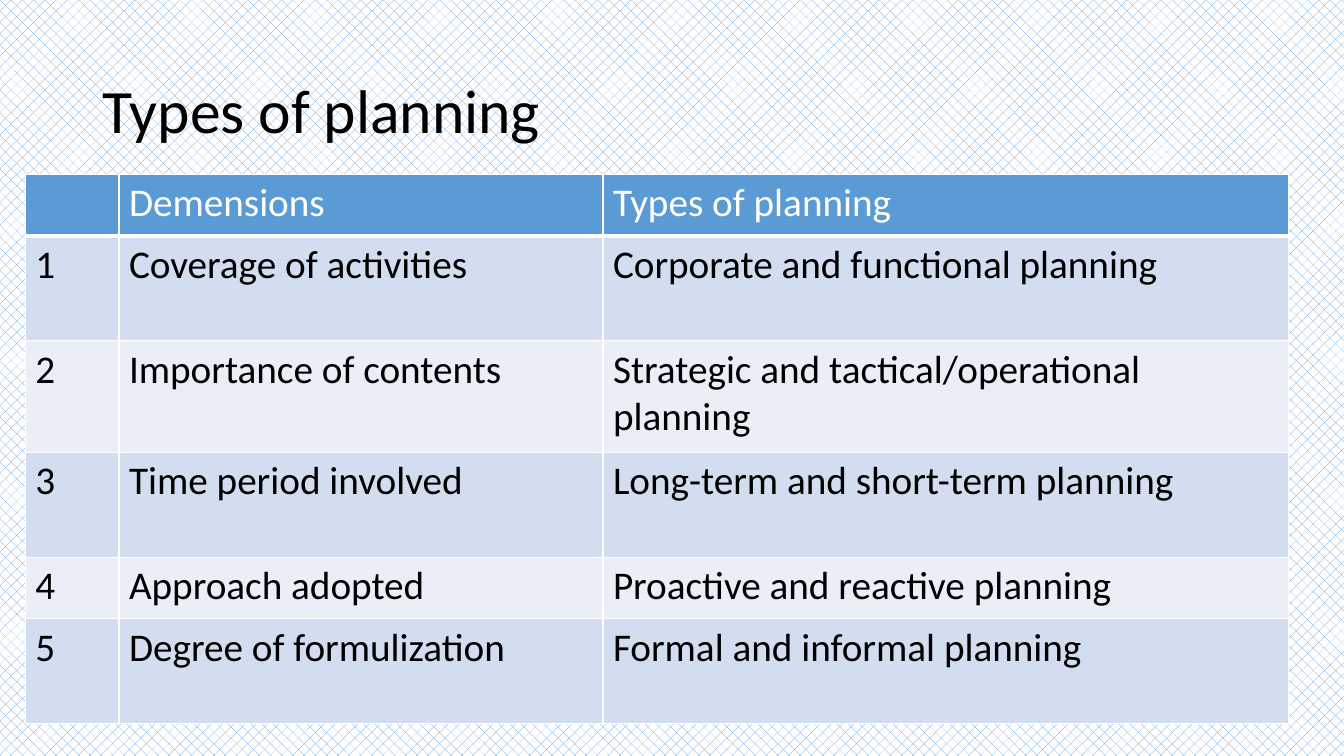
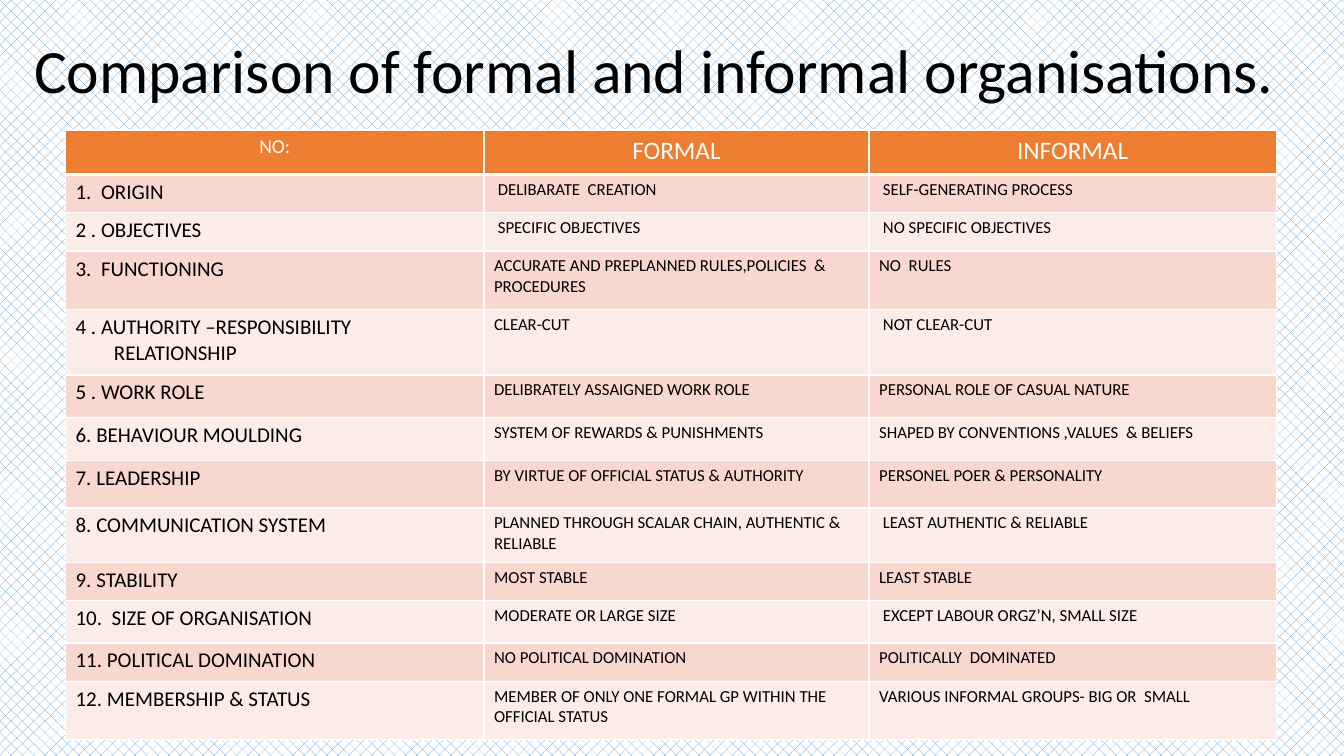
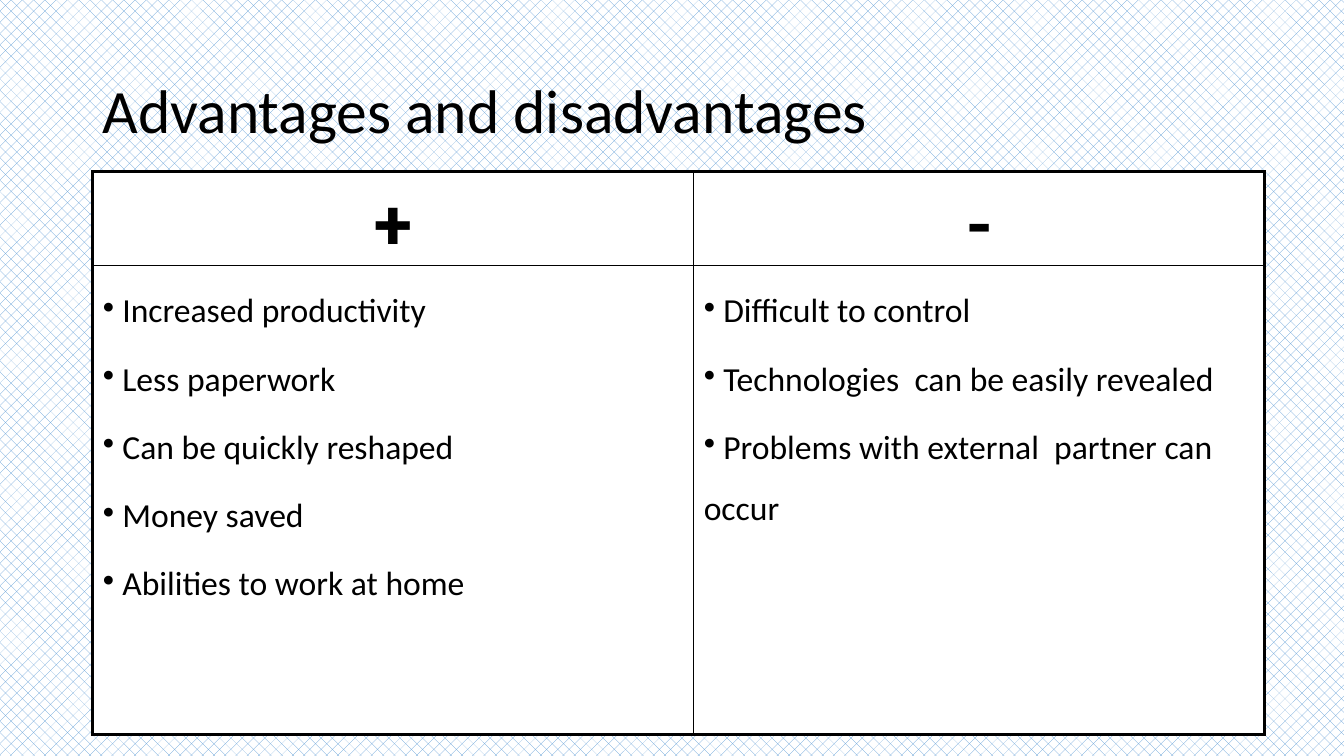
from dataclasses import dataclass
from lxml.etree import SubElement
from pptx import Presentation
from pptx.dml.color import RGBColor
from pptx.enum.dml import MSO_PATTERN
from pptx.enum.text import MSO_ANCHOR, PP_ALIGN
from pptx.oxml import parse_xml
from pptx.oxml.ns import nsdecls, qn
from pptx.util import Inches, Pt


@dataclass(frozen=True)
class Theme:
    font: str = "Calibri"
    slab: str = "Roboto Slab"
    black: str = "000000"
    white: str = "FFFFFF"
    blue: str = "5B9BD5"
    blues: tuple = ("D2DEEF", "EAEFF7")
    orange: str = "ED7D31"
    peach: tuple = ("F8D7CE", "FCECE8")
    title: int = 44
    sign: int = 50
    large: int = 28
    list: int = 24
    head: int = 18
    label: int = 15
    note: int = 14
    small: int = 12


theme = Theme()


def apply(item, values):
    for name, value in values.items():
        setattr(item, name, value)


def style(size, color=theme.black, face=theme.font, bold=False, para=None, hang=0, mark=None):
    return {"font": {"size": Pt(size), "name": face, "bold": bold},
            "color": color, "para": para or {}, "hang": hang, "mark": mark}


def write(frame, text, look):
    for i, line in enumerate(text.split("\n")):
        para = frame.paragraphs[0] if i == 0 else frame.add_paragraph()
        apply(para, look["para"])
        run = para.add_run()
        run.text = line
        apply(run.font, look["font"])
        run.font.color.rgb = RGBColor.from_string(look["color"])
        props = para._p.get_or_add_pPr()
        if look["hang"]:
            props.set("marL", str(Inches(look["hang"])))
            props.set("indent", str(-Inches(look["hang"])))
        if look["mark"]:
            SubElement(props, qn("a:buChar")).set("char", look["mark"])


def border(cell, color, widths):
    props = cell._tc.get_or_add_tcPr()
    for i, (side, width) in enumerate(zip("LRTB", widths)):
        props.insert(i, parse_xml(
            f'<a:ln{side} {nsdecls("a")} w="{Pt(width)}"><a:solidFill>'
            f'<a:srgbClr val="{color}"/></a:solidFill></a:ln{side}>'))


def page(deck, text, box):
    slide = deck.slides.add_slide(deck.slide_layouts[6])
    fill = slide.background.fill
    fill.patterned()
    fill.pattern = MSO_PATTERN.PERCENT_25
    fill.fore_color.rgb = RGBColor.from_string(theme.blue)
    fill.back_color.rgb = RGBColor.from_string(theme.white)
    frame = slide.shapes.add_textbox(*map(Inches, box)).text_frame
    apply(frame, {"word_wrap": True, "vertical_anchor": MSO_ANCHOR.MIDDLE})
    write(frame, text, style(theme.title, para={"line_spacing": 0.9}))
    return slide


def grid(slide, spot, cols, rows, data, look):
    shape = slide.shapes.add_table(len(rows), len(cols), *map(Inches, (*spot, sum(cols), sum(rows))))
    table = shape.table
    apply(table, {"first_row": False, "horz_banding": False})
    for col, width in zip(table.columns, cols):
        col.width = Inches(width)
    for row, height in zip(table.rows, rows):
        row.height = Inches(height)
    edge, inner, under = look["lines"]
    for r, line in enumerate(data):
        looks = look["body"] if r else look["head"]
        tint = look["bands"][(r - 1) % 2] if r else look["fill"]
        for c, text in enumerate(line):
            cell = table.cell(r, c)
            cell.fill.solid()
            cell.fill.fore_color.rgb = RGBColor.from_string(tint)
            below = edge if r == len(rows) - 1 else inner if r else under
            border(cell, look["pen"], (inner if c else edge,
                                       edge if c == len(cols) - 1 else inner,
                                       inner if r else edge, below))
            if text:
                write(cell.text_frame, text, looks[c])


TOP = (0.92, 0.4, 11.5, 1.45)
MID = {"alignment": PP_ALIGN.CENTER}


def types(deck):
    slide = page(deck, "Types of planning", TOP)
    data = [
        ("", "Demensions", "Types of planning"),
        ("1", "Coverage of activities", "Corporate and functional planning"),
        ("2", "Importance of contents", "Strategic and tactical/operational planning"),
        ("3", "Time period involved", "Long-term and short-term planning"),
        ("4", "Approach adopted", "Proactive and reactive planning"),
        ("5", "Degree of formulization", "Formal and informal planning"),
    ]
    grid(slide, (0.25, 1.73), (0.93, 4.8, 6.8), (0.61, 1.04, 1.11, 1.04, 0.61, 1.04), data,
         {"head": [style(theme.large, theme.white)] * 3, "body": [style(theme.large)] * 3,
          "fill": theme.blue, "bands": theme.blues, "pen": theme.white, "lines": (1, 1, 3)})


def compare(deck):
    slide = page(deck, "Comparison of formal and informal organisations.", (0.24, 0, 12.83, 1.45))
    data = [
        ("NO:", "FORMAL", "INFORMAL"),
        ("1.  ORIGIN", " DELIBARATE  CREATION", " SELF-GENERATING PROCESS"),
        ("2 . OBJECTIVES", " SPECIFIC OBJECTIVES", " NO SPECIFIC OBJECTIVES"),
        ("3.  FUNCTIONING", "ACCURATE AND PREPLANNED RULES,POLICIES  & PROCEDURES", "NO  RULES"),
        ("4 . AUTHORITY –RESPONSIBILITY  RELATIONSHIP", "CLEAR-CUT", " NOT CLEAR-CUT"),
        ("5 . WORK ROLE", "DELIBRATELY ASSAIGNED WORK ROLE", "PERSONAL ROLE OF CASUAL NATURE"),
        ("6. BEHAVIOUR MOULDING", "SYSTEM OF REWARDS & PUNISHMENTS",
         "SHAPED BY CONVENTIONS ,VALUES  & BELIEFS"),
        ("7. LEADERSHIP", "BY VIRTUE OF OFFICIAL STATUS & AUTHORITY", "PERSONEL POER & PERSONALITY"),
        ("8. COMMUNICATION SYSTEM", "PLANNED THROUGH SCALAR CHAIN, AUTHENTIC & RELIABLE",
         " LEAST AUTHENTIC & RELIABLE"),
        ("9. STABILITY", "MOST STABLE", "LEAST STABLE"),
        ("10.  SIZE OF ORGANISATION", "MODERATE OR LARGE SIZE", " EXCEPT LABOUR ORGZ’N, SMALL SIZE"),
        ("11. POLITICAL DOMINATION", "NO POLITICAL DOMINATION", "POLITICALLY  DOMINATED"),
        ("12. MEMBERSHIP & STATUS", "MEMBER OF ONLY ONE FORMAL GP WITHIN THE OFFICIAL STATUS",
         "VARIOUS INFORMAL GROUPS- BIG OR  SMALL"),
    ]
    rows = (0.44, 0.38, 0.38, 0.58, 0.65, 0.42, 0.43, 0.47, 0.54, 0.38, 0.42, 0.38, 0.58)
    grid(slide, (0.65, 1.29), (4.15, 3.82, 4.04), rows, data,
         {"head": [style(size, theme.white, para=MID) for size in (theme.note, theme.head, theme.head)],
          "body": [style(theme.label, hang=0.38)] + [style(theme.small)] * 2,
          "fill": theme.orange, "bands": theme.peach, "pen": theme.white, "lines": (1, 1, 3)})


def weigh(deck):
    slide = page(deck, "Advantages and disadvantages", TOP)
    pros = (" Increased productivity", " Less paperwork", " Can be quickly reshaped",
            " Money saved", " Abilities to work at home")
    cons = (" Difficult to control", " Technologies  can be easily revealed",
            " Problems with external  partner can occur")
    sign = style(theme.sign, face=theme.slab, bold=True,
                 para={**MID, "space_before": Pt(theme.sign * 0.2)})
    item = style(theme.list, mark="•",
                 para={"line_spacing": 1.5, "space_before": Pt(theme.list * 0.2)})
    grid(slide, (0.92, 1.7), (5.96, 5.66), (0.93, 4.65), [("+", "-"), ("\n".join(pros), "\n".join(cons))],
         {"head": [sign] * 2, "body": [item] * 2, "fill": theme.white,
          "bands": (theme.white, theme.white), "pen": theme.black, "lines": (2.25, 1, 1)})


deck = Presentation()
apply(deck, {"slide_width": Inches(13.33), "slide_height": Inches(7.5)})
for build in (types, compare, weigh):
    build(deck)
deck.save("out.pptx")
